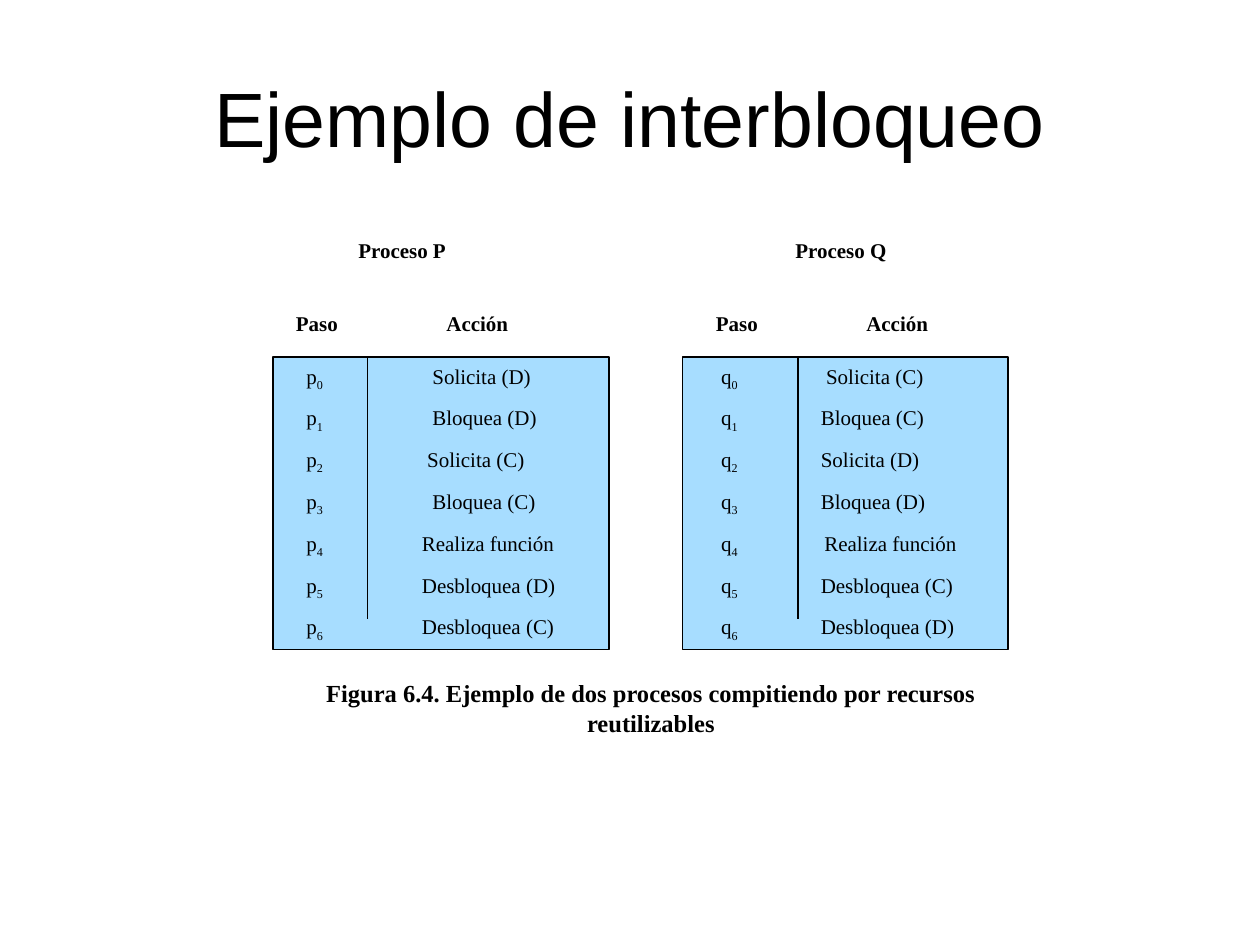
from lxml import etree
from pptx import Presentation
from pptx.dml.color import RGBColor
from pptx.enum import shapes, text
from pptx.oxml.ns import qn
from pptx.util import Pt

COLORS = {"ink": "000000", "panel": "A7DDFF"}
BODY = {"name": "Times New Roman", "size": Pt(12), "bold": False}
LABEL = {**BODY, "bold": True}
CAPTION = {**LABEL, "size": Pt(14)}
TITLE = {"name": "Arial", "size": Pt(44), "bold": False}

PROCESSES = [
    {"box": (156, 132, 192, 239), "name": "Proceso P", "key": "p", "name_tab": 41.7,
     "head_tabs": (6, 92), "key_tab": 12, "divider": 54,
     "steps": [("Solicita (D)", 84), ("Bloquea (D)", 84), ("Solicita (C)", 81),
               ("Bloquea (C)", 84), ("Realiza función", 78),
               ("Desbloquea (D)", 78), ("Desbloquea (C)", 78)]},
    {"box": (390, 132, 186, 239), "name": "Proceso Q", "key": "q", "name_tab": 57.5,
     "head_tabs": (12, 98), "key_tab": 15, "divider": 66,
     "steps": [("Solicita (C)", 75), ("Bloquea (C)", 72), ("Solicita (D)", 72),
               ("Bloquea (D)", 72), ("Realiza función", 74),
               ("Desbloquea (C)", 72), ("Desbloquea (D)", 72)]},
]


def rgb(name):
    """Return a palette colour."""
    return RGBColor.from_string(COLORS[name])


def add_run(p, content, fmt, baseline=None):
    """Add a formatted run, lowered when a baseline is given."""
    r = p.add_run()
    r.text = content
    for attr, value in fmt.items():
        setattr(r.font, attr, value)
    r.font.color.rgb = rgb("ink")
    if baseline:
        r._r.get_or_add_rPr().set("baseline", str(baseline))


def set_tabs(p, stops):
    """Give a paragraph left tab stops in points."""
    tabs = etree.SubElement(p._p.get_or_add_pPr(), qn("a:tabLst"))
    for stop in stops:
        etree.SubElement(tabs, qn("a:tab"), pos=str(int(Pt(stop))), algn="l")


def add_text(s, box, content, fmt, tabs=(), align=text.PP_ALIGN.LEFT):
    """Add a one-paragraph text box."""
    tf = s.shapes.add_textbox(*map(Pt, box)).text_frame
    tf.word_wrap = True
    p = tf.paragraphs[0]
    if tabs:
        set_tabs(p, tabs)
    p.alignment = align
    add_run(p, content, fmt)


def add_title(s, box, content):
    """Place and format the title placeholder."""
    sp = s.shapes.title
    sp.left, sp.top, sp.width, sp.height = map(Pt, box)
    tf = sp.text_frame
    tf.vertical_anchor = text.MSO_ANCHOR.MIDDLE
    p = tf.paragraphs[0]
    p.alignment = text.PP_ALIGN.CENTER
    add_run(p, content, TITLE)


def add_steps(s, box, key, key_tab, steps):
    """Draw the panel that lists the numbered steps of a process."""
    sp = s.shapes.add_shape(shapes.MSO_SHAPE.RECTANGLE, *map(Pt, box))
    sp.shadow.inherit = False
    sp.fill.solid()
    sp.fill.fore_color.rgb = rgb("panel")
    sp.line.color.rgb = rgb("ink")
    sp.line.width = Pt(0.75)
    tf = sp.text_frame
    tf.word_wrap = True
    tf.vertical_anchor = text.MSO_ANCHOR.TOP
    for i, (action, action_tab) in enumerate(steps):
        p = tf.add_paragraph() if i else tf.paragraphs[0]
        set_tabs(p, (key_tab, action_tab))
        p.alignment = text.PP_ALIGN.LEFT
        if i:
            p.space_before = Pt(7.5)
        add_run(p, f"\t{key}", BODY)
        add_run(p, str(i), BODY, -25000)
        add_run(p, f"\t{action}", BODY)


def add_divider(s, x, y, length):
    """Draw the vertical rule between steps and actions."""
    line = s.shapes.add_connector(shapes.MSO_CONNECTOR.STRAIGHT,
                                  Pt(x), Pt(y), Pt(x), Pt(y + length))
    line.line.color.rgb = rgb("ink")
    line.line.width = Pt(0.75)
    etree.SubElement(line._element.spPr, qn("a:effectLst"))


def add_process(s, box, name, key, name_tab, head_tabs, key_tab, divider, steps):
    """Place the name, column heads, panel and divider of a process."""
    x, y, w, h = box
    add_text(s, (x, y, w, 21.6), f"\t{name}", LABEL, (name_tab,))
    add_text(s, (x, y + 42, w, 21.6), "\tPaso\tAcción", LABEL, head_tabs)
    add_steps(s, (x, y + 72, w, h - 72), key, key_tab, steps)
    add_divider(s, x + divider, y + 72, 150)


def main():
    """Build the slide and save it."""
    prs = Presentation()
    prs.slide_width, prs.slide_height = Pt(720), Pt(540)
    s = prs.slides.add_slide(prs.slide_layouts[5])
    add_title(s, (36, 21.6, 648, 90), "Ejemplo de interbloqueo")
    for process in PROCESSES:
        add_process(s, **process)
    add_text(s, (156, 384, 432, 41),
             "Figura 6.4. Ejemplo de dos procesos compitiendo por recursos reutilizables",
             CAPTION, align=text.PP_ALIGN.CENTER)
    prs.save("out.pptx")


if __name__ == "__main__":
    main()
